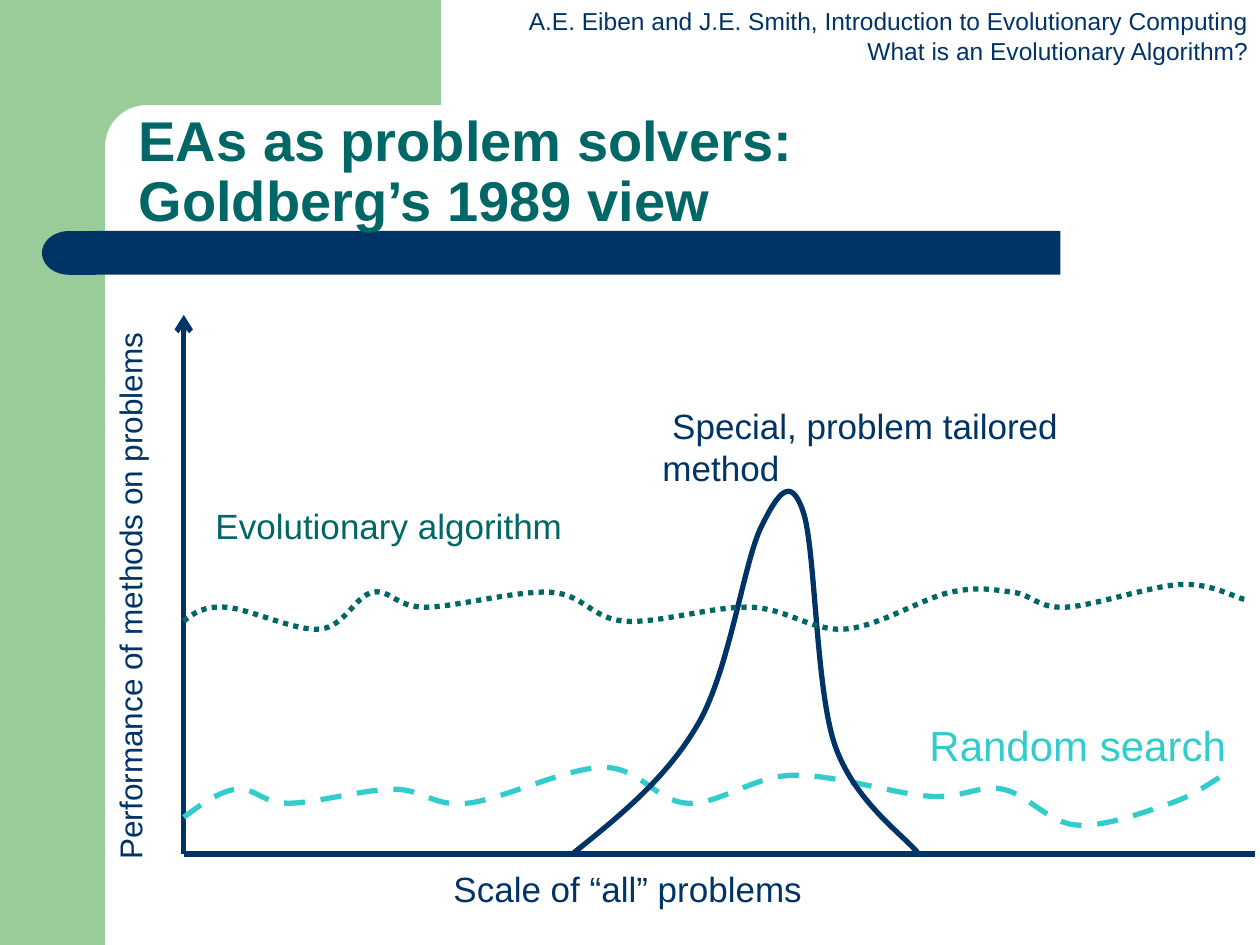
import copy

import pptx
import pptx.dml.color
import pptx.enum.dml
import pptx.enum.shapes
import pptx.enum.text
import pptx.oxml.ns
import pptx.oxml.xmlchemy
import pptx.util

Pt = pptx.util.Pt
Kind = pptx.enum.shapes.MSO_SHAPE
Dash = pptx.enum.dml.MSO_LINE
Align = pptx.enum.text.PP_ALIGN
Anchor = pptx.enum.text.MSO_ANCHOR
Fit = pptx.enum.text.MSO_AUTO_SIZE
node = pptx.oxml.xmlchemy.OxmlElement
qn = pptx.oxml.ns.qn

NAVY, TEAL, AQUA, GREEN, WHITE = "003366", "006666", "33CCCC", "99CC99", "FFFFFF"


def color(code):
    return pptx.dml.color.RGBColor.from_string(code)


def write(frame, text, size=20, ink=NAVY, bold=False, align=Align.LEFT, lead=1.0):
    frame.text = text
    for para in frame.paragraphs:
        para.alignment = align
        para.line_spacing = lead
        for run in para.runs:
            run.font.name = "Arial"
            run.font.size = Pt(size)
            run.font.bold = bold
            run.font.color.rgb = color(ink)
        for gap in para._p.findall(qn("a:br")):
            gap.insert(0, copy.deepcopy(para.runs[0]._r.rPr))


def smooth(knots):
    last = len(knots) - 1

    def slope(i):
        back, ahead = knots[max(i - 1, 0)], knots[min(i + 1, last)]
        return [(b - a) / 6 for a, b in zip(back, ahead)]

    points = []
    for i in range(last):
        start, end = knots[i], knots[i + 1]
        enter = tuple(e - s for e, s in zip(end, slope(i + 1)))
        if i == 0:
            leave = tuple((a + b) / 2 for a, b in zip(start, enter))
        else:
            leave = tuple(a + s for a, s in zip(start, slope(i)))
        points += [leave, enter, end]
    return points


class Board:
    def __init__(self, slide, width=3):
        self.slide = slide
        self.shapes = slide.shapes
        self.width = width

    def block(self, kind, box, fill, round=None, turn=0):
        shape = self.shapes.add_shape(kind, *map(Pt, box))
        shape.shadow.inherit = False
        shape.fill.solid()
        shape.fill.fore_color.rgb = color(fill)
        shape.line.fill.background()
        shape.rotation = turn
        if round is not None:
            shape.adjustments[0] = round

    def label(self, box, text, turn=0, **style):
        shape = self.shapes.add_textbox(*map(Pt, box))
        shape.rotation = turn
        shape.text_frame.word_wrap = False
        write(shape.text_frame, text, **style)

    def title(self, box, text, **style):
        shape = self.shapes.title
        shape.left, shape.top, shape.width, shape.height = map(Pt, box)
        frame = shape.text_frame
        frame.auto_size = Fit.NONE
        frame.word_wrap = True
        frame.vertical_anchor = Anchor.MIDDLE
        write(frame, text, **style)
        self.shapes._spTree.append(shape._element)

    def stroke(self, line, ink, dash=None):
        line.color.rgb = color(ink)
        line.width = Pt(self.width)
        if dash:
            line.dash_style = dash

    def axis(self, start, end, arrow=False):
        straight = pptx.enum.shapes.MSO_CONNECTOR.STRAIGHT
        line = self.shapes.add_connector(straight, *map(Pt, start + end))
        self.stroke(line.line, NAVY)
        props = line._element.spPr
        if arrow:
            tip = node("a:tailEnd")
            tip.set("type", "arrow")
            props.find(qn("a:ln")).append(tip)
        props.append(node("a:effectLst"))

    def curve(self, knots, ink, dash=None):
        first, *rest = [tuple(map(Pt, point)) for point in [knots[0]] + smooth(knots)]
        pen = self.shapes.build_freeform(*first)
        pen.add_line_segments(rest, close=False)
        shape = pen.convert_to_shape()
        shape.shadow.inherit = False
        shape.fill.background()
        self.stroke(shape.line, ink, dash)
        route = shape._element.find(".//" + qn("a:path"))
        for i, step in enumerate(route.findall(qn("a:lnTo"))):
            if i % 3 == 0:
                bend = node("a:cubicBezTo")
                route.append(bend)
            bend.append(step[0])
            route.remove(step)


def main():
    deck = pptx.Presentation()
    deck.slide_width, deck.slide_height = Pt(720), Pt(540)
    board = Board(deck.slides.add_slide(deck.slide_layouts[5]))

    board.block(Kind.RECTANGLE, (0, 0, 60, 540), GREEN)
    board.block(Kind.RECTANGLE, (54, 0, 198, 84), GREEN)
    board.block(Kind.ROUNDED_RECTANGLE, (60, 60, 402, 48), WHITE, round=0.5)
    board.block(Kind.ROUNDED_RECTANGLE, (54, 132, 552, 25), NAVY, round=0)
    board.block(Kind.FLOWCHART_DELAY, (24, 132, 31, 25), NAVY, turn=180)
    board.label(
        (295, 0, 425.5, 41),
        "A.E. Eiben and J.E. Smith, Introduction to Evolutionary Computing\n"
        "What is an Evolutionary Algorithm?",
        size=14, align=Align.RIGHT,
    )

    base = (105, 488)
    board.axis(base, (717, 488))
    board.axis(base, (105, 180), arrow=True)
    board.label((252, 492, 214, 31.5), "Scale of “all” problems")
    board.label((-83.5, 326, 315.5, 29), "Performance of methods on problems", turn=270, size=18)

    random = [
        (105, 467), (135, 451), (165, 459), (225, 451), (267, 459),
        (345, 438.5), (393, 459), (453, 443), (531, 455), (573, 451),
        (615, 471.5), (669, 459), (699, 443),
    ]
    board.curve(random, AQUA, Dash.DASH)
    board.label((524, 407.5, 184, 36), "Random search", size=24, ink=AQUA)

    board.label((371.5, 227.5, 312.5, 31.5), " Special, problem tailored method")
    special = [(327, 488), (399, 413.5), (435, 301), (459, 292.5), (477, 425.5), (525, 488)]
    board.curve(special, NAVY)

    evolve = [
        (105, 355), (129, 347), (183, 359.5), (213, 338.5), (243, 347),
        (315, 338.5), (357, 355), (429, 347), (483, 359.5), (543, 338.5),
        (579, 338.5), (609, 347), (675, 334), (711, 342.5),
    ]
    board.curve(evolve, TEAL, Dash.ROUND_DOT)
    board.label((116, 284.5, 212.5, 31.5), "Evolutionary algorithm", ink=TEAL)

    board.title(
        (72, 66, 612, 66), "EAs as problem solvers: \vGoldberg’s 1989 view",
        size=32, ink=TEAL, bold=True, lead=0.9,
    )
    deck.save("out.pptx")


if __name__ == "__main__":
    main()
